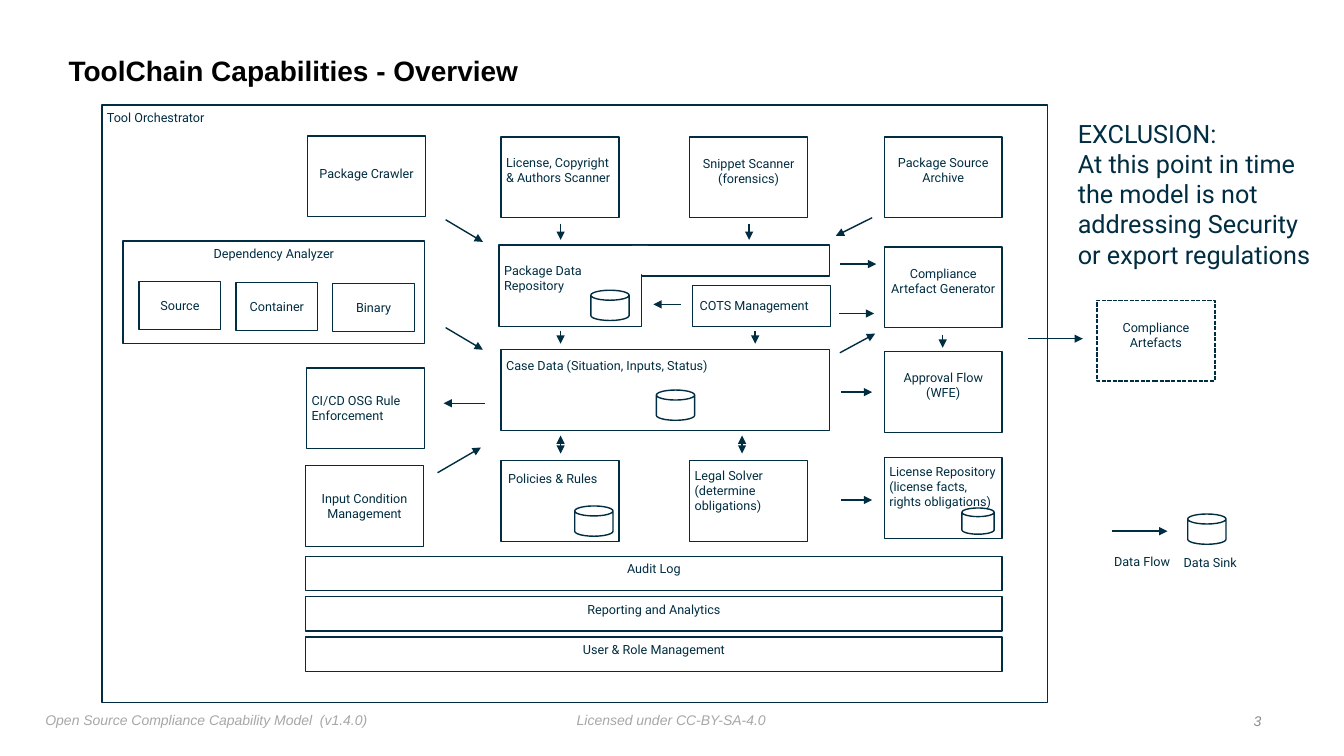
import pptx
import pptx.util
import pptx.dml.color
import pptx.enum.dml
import pptx.enum.shapes
import pptx.enum.text
import pptx.oxml
import pptx.oxml.ns

Inches = pptx.util.Inches
Shape = pptx.enum.shapes.MSO_SHAPE
Align = pptx.enum.text.PP_ALIGN
Anchor = pptx.enum.text.MSO_ANCHOR
COLORS = {"ink": "002D41", "white": "FFFFFF", "black": "000000",
          "foot": "A7A7A7", "page": "888C91"}
LEFT, MID, RIGHT = Align.LEFT, Align.CENTER, Align.RIGHT
PAD = 0.05


def tint(name):
    return pptx.dml.color.RGBColor.from_string(COLORS[name])


def apply(item, values):
    for name, value in values.items():
        setattr(item, name, value)


class Board:
    """Holds the slide and its shared style."""

    def __init__(self, slide):
        self.slide = slide
        self.font = {"name": "Roboto", "size": 9, "color": "ink"}

    def letter(self, shape, text, align=LEFT, anchor=Anchor.TOP, top=PAD,
               left=PAD, wrap=True, space=None, **style):
        frame = shape.text_frame
        apply(frame, {"margin_left": Inches(left), "margin_right": Inches(PAD),
                      "margin_top": Inches(top), "margin_bottom": Inches(PAD),
                      "word_wrap": wrap, "vertical_anchor": anchor})
        frame.text = text
        look = {**self.font, **style}
        color = tint(look.pop("color"))
        look["size"] = pptx.util.Pt(look["size"])
        for para in frame.paragraphs:
            para.alignment = align
            if space:
                para.line_spacing = space
            for run in para.runs:
                apply(run.font, look)
                run.font.color.rgb = color

    def title(self, spot, text, **style):
        holder = self.slide.shapes.title
        sizes = [Inches(n) for n in spot]
        apply(holder, dict(zip(("left", "top", "width", "height"), sizes)))
        self.letter(holder, text, **style)

    def label(self, spot, text, **style):
        area = self.slide.shapes.add_textbox(*[Inches(n) for n in spot])
        self.letter(area, text, **{"wrap": False, **style})

    def shape(self, kind, spot, edge=True):
        item = self.slide.shapes.add_shape(kind, *[Inches(n) for n in spot])
        item.shadow.inherit = False
        item.fill.solid()
        item.fill.fore_color.rgb = tint("white")
        if edge:
            item.line.color.rgb = tint("ink")
            item.line.width = pptx.util.Pt(1)
        else:
            item.line.fill.background()
        return item

    def box(self, spot, text="", dash=False, **style):
        item = self.shape(Shape.RECTANGLE, spot)
        if dash:
            item.line.dash_style = pptx.enum.dml.MSO_LINE.SQUARE_DOT
        if text:
            self.letter(item, text, **style)

    def sink(self, left, top, width=0.38, height=0.3):
        can = self.shape(Shape.CAN, (left, top, width, height))
        can.adjustments[0] = 0.33

    def arrow(self, ends, both=False):
        kind = pptx.enum.shapes.MSO_CONNECTOR.STRAIGHT
        link = self.slide.shapes.add_connector(kind, *[Inches(n) for n in ends])
        link.line.color.rgb = tint("ink")
        link.line.width = pptx.util.Pt(1)
        space = pptx.oxml.ns.nsdecls("a")
        line = link.element.spPr.get_or_add_ln()
        for tag in ("headEnd", "tailEnd") if both else ("tailEnd",):
            line.append(pptx.oxml.parse_xml(f'<a:{tag} {space} type="triangle"/>'))
        line.addnext(pptx.oxml.parse_xml(f"<a:effectLst {space}/>"))


def main():
    deck = pptx.Presentation()
    apply(deck, {"slide_width": Inches(13.33), "slide_height": Inches(7.5)})
    board = Board(deck.slides.add_slide(deck.slide_layouts[5]))

    # Title and footer
    board.title((0.63, 0.39, 10.75, 0.65), "ToolChain Capabilities - Overview",
                anchor=Anchor.MIDDLE, space=0.9, name="Arial", size=20,
                bold=True, color="black")
    foot = {"name": "Arial", "size": 10, "italic": True, "color": "foot"}
    board.label((0.4, 7.01, 3.32, 0.27),
                "Open Source Compliance Capability Model  (v1.4.0)", **foot)
    board.label((5.67, 7.01, 1.99, 0.25), "Licensed under CC-BY-SA-4.0", **foot)
    board.label((12.37, 7.03, 0.19, 0.25), "3", align=RIGHT,
                anchor=Anchor.MIDDLE, **{**foot, "color": "page"})

    # Frame around all tools
    board.box((1.01, 1.04, 9.38, 5.93), "Tool Orchestrator")

    # Tools of equal size: left, top, text, inset at top, alignment
    tools = [
        (3.05, 1.35, "Package Crawler", 0.3, MID),
        (4.97, 1.36, "License, Copyright & Authors Scanner", 0.18, LEFT),
        (6.84, 1.36, "Snippet Scanner\v(forensics)", 0.19, MID),
        (8.77, 1.36, "Package Source Archive", 0.18, MID),
        (8.77, 2.45, "Compliance Artefact Generator", 0.19, MID),
        (8.77, 3.49, "Approval Flow (WFE)", 0.18, MID),
        (6.84, 4.57, "Legal Solver (determine obligations)", 0.07, LEFT),
        (8.77, 4.54, "License Repository (license facts, rights obligations)",
         0.06, LEFT),
    ]
    for left, top, text, inset, align in tools:
        board.box((left, top, 1.17, 0.8), text, top=inset, align=align)
    board.box((4.97, 4.57, 1.17, 0.8), "Policies & Rules", top=0.1, left=0.07)
    board.box((3.04, 3.65, 1.17, 0.8), "CI/CD OSG Rule Enforcement",
              anchor=Anchor.MIDDLE)
    board.box((3.03, 4.62, 1.17, 0.8), "Input Condition Management",
              anchor=Anchor.MIDDLE, align=MID)
    board.box((10.88, 2.98, 1.17, 0.8), "Compliance Artefacts", dash=True,
              top=0.19, align=MID)

    # Data stores in the centre, with an open join at the repository
    board.box((4.97, 3.47, 3.26, 0.8), "Case Data (Situation, Inputs, Status)",
              top=0.08)
    board.box((6.87, 2.83, 1.37, 0.41), "COTS Management", top=0.13, left=0.07)
    board.box((4.95, 2.43, 1.41, 0.81), "Package Data Repository", top=0.18)
    board.box((6.36, 2.43, 1.87, 0.31))
    board.shape(Shape.RECTANGLE, (6.27, 2.44, 0.16, 0.28), edge=False)

    # Analyzer and its inputs
    board.box((1.22, 2.39, 2.99, 1.02), "Dependency Analyzer", align=MID)
    for step, text in enumerate(("Source", "Container", "Binary")):
        board.box((1.38 + 0.96 * step, 2.79 + 0.01 * step, 0.81, 0.48), text,
                  align=MID, anchor=Anchor.MIDDLE)

    # Shared services
    services = ("Audit Log", "Reporting and Analytics", "User & Role Management")
    for step, text in enumerate(services):
        board.box((3.03, 5.52 + 0.4 * step, 6.91, 0.34), text, align=MID)

    # Data sinks
    for left, top in ((6.51, 3.87), (5.86, 2.88), (5.7, 5.02), (11.78, 5.1)):
        board.sink(left, top)
    board.sink(9.54, 5.04, 0.32, 0.26)

    # Data flows
    flows = [
        (4.42, 2.18, 4.79, 2.4), (4.42, 3.25, 4.79, 3.47),
        (4.81, 4, 4.4, 4), (4.34, 4.69, 4.77, 4.44),
        (5.56, 2.22, 5.56, 2.38), (7.43, 2.22, 7.43, 2.38),
        (5.56, 3.28, 5.56, 3.41), (7.49, 3.28, 7.49, 3.41),
        (9.35, 3.32, 9.35, 3.45), (8.65, 2.16, 8.29, 2.34),
        (8.33, 2.62, 8.69, 2.62), (8.32, 3.11, 8.67, 3.11),
        (8.33, 3.5, 8.68, 3.31), (8.34, 3.89, 8.65, 3.89),
        (8.34, 4.96, 8.65, 4.96), (6.75, 3.02, 6.48, 3.02),
        (10.2, 3.36, 10.74, 3.36), (11.03, 5.27, 11.58, 5.27),
    ]
    for ends in flows:
        board.arrow(ends)
    for left in (5.56, 7.36):
        board.arrow((left, 4.5, left, 4.32), both=True)

    # Legend and scope note
    board.label((11, 5.45, 0.67, 0.25), "Data Flow")
    board.label((11.69, 5.46, 0.63, 0.25), "Data Sink")
    board.label((10.64, 1.12, 2.46, 1.62),
                "EXCLUSION:\nAt this point in time\vthe model is not\n"
                "addressing Security\nor export regulations", size=18)

    deck.save("out.pptx")


if __name__ == "__main__":
    main()
